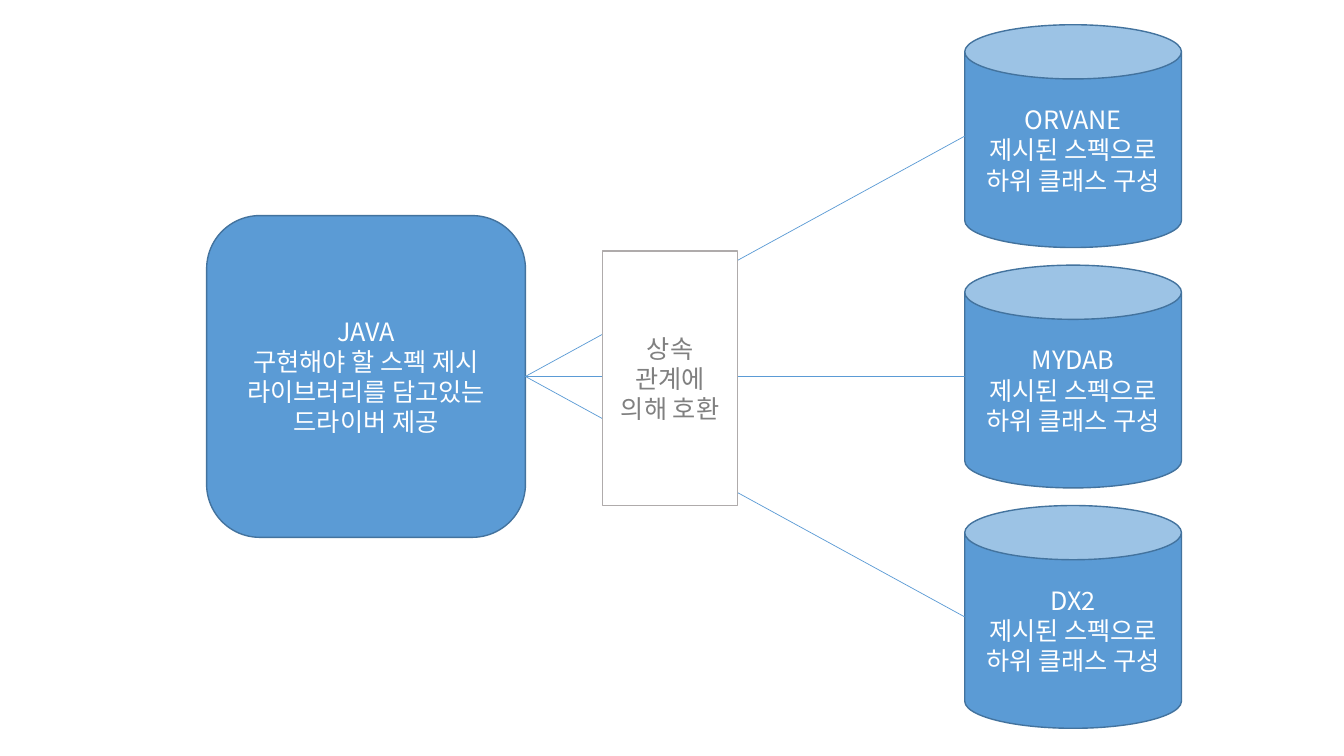
from pptx import Presentation, util as u
from pptx.dml import color
from pptx.enum import shapes, text
from pptx.oxml import ns, xmlchemy

COLORS = {"blue": "5B9BD5", "edge": "43739E", "white": "FFFFFF", "frame": "AFABAB", "grey": "808080"}
FONT = "Noto Sans CJK KR"
FRAME_FORMAT = {"word_wrap": True, "vertical_anchor": text.MSO_ANCHOR.MIDDLE}
FONT_FORMAT = {"name": FONT, "size": u.Pt(18)}
DATABASES = ["ORVANE", "MYDAB", "DX2"]
DATABASE_TEXT = "제시된 스펙으로 하위 클래스 구성"
DRIVER_TEXT = ["JAVA", "구현해야 할 스펙 제시", "라이브러리를 담고있는 드라이버 제공"]
BRIDGE_TEXT = ["상속 관계에 의해 호환"]


def rgb(name):
    """Return the named colour."""
    return color.RGBColor.from_string(COLORS[name])


def set_format(target, values):
    """Set each attribute in values on the target."""
    for name, value in values.items():
        setattr(target, name, value)


def add_block(slide, kind, box, lines, fill="blue", edge="edge", ink="white"):
    """Add a filled preset shape with centred lines of text."""
    shape = slide.shapes.add_shape(kind, *map(u.Pt, box))
    shape.shadow.inherit = False
    shape.fill.solid()
    shape.fill.fore_color.rgb = rgb(fill)
    shape.line.color.rgb = rgb(edge)
    shape.line.width = u.Pt(1)
    frame = shape.text_frame
    set_format(frame, FRAME_FORMAT)
    for index, line in enumerate(lines):
        paragraph = frame.add_paragraph() if index else frame.paragraphs[0]
        paragraph.alignment = text.PP_ALIGN.CENTER
        run = paragraph.add_run()
        run.text = line
        set_format(run.font, FONT_FORMAT)
        run.font.color.rgb = rgb(ink)
        east_asian = xmlchemy.OxmlElement("a:ea")
        east_asian.set("typeface", FONT)
        run.font._element.append(east_asian)
    return shape


def add_databases(slide, box):
    """Stack the database cylinders evenly in the box and return them."""
    left, top, width, height = box
    can_height = 159.1
    pitch = (height - can_height) / (len(DATABASES) - 1)
    return [
        add_block(slide, shapes.MSO_SHAPE.CAN, (left, top + index * pitch, width, can_height), [name, DATABASE_TEXT])
        for index, name in enumerate(DATABASES)
    ]


def add_links(slide, driver, databases):
    """Join the driver's right side to the left side of each database."""
    for database in databases:
        line = slide.shapes.add_connector(
            shapes.MSO_CONNECTOR.STRAIGHT,
            driver.left + driver.width, driver.top + driver.height // 2,
            database.left, database.top + database.height // 2,
        )
        line.line.color.rgb = rgb("blue")
        line.line.width = u.Pt(0.5)
        line._element.find(ns.qn("p:spPr")).append(xmlchemy.OxmlElement("a:effectLst"))


def add_diagram(slide, box):
    """Place the driver, databases, links and bridge relative to the box."""
    left, top, width, height = box
    can_width = 154.8
    databases = add_databases(slide, (left + width - can_width, top, can_width, height))
    driver = add_block(
        slide, shapes.MSO_SHAPE.ROUNDED_RECTANGLE, (left, top + 136.3, 227.7, 229.8), DRIVER_TEXT
    )
    add_links(slide, driver, databases)
    add_block(
        slide, shapes.MSO_SHAPE.RECTANGLE, (left + 282.7, top + 161.6, 96.6, 182), BRIDGE_TEXT, "white", "frame", "grey"
    )


def main():
    """Build and save the presentation."""
    presentation = Presentation()
    set_format(presentation, {"slide_width": u.Pt(960), "slide_height": u.Pt(540)})
    slide = presentation.slides.add_slide(presentation.slide_layouts[6])
    add_diagram(slide, (147.6, 17.7, 696.3, 502.5))
    presentation.save("out.pptx")


main()
